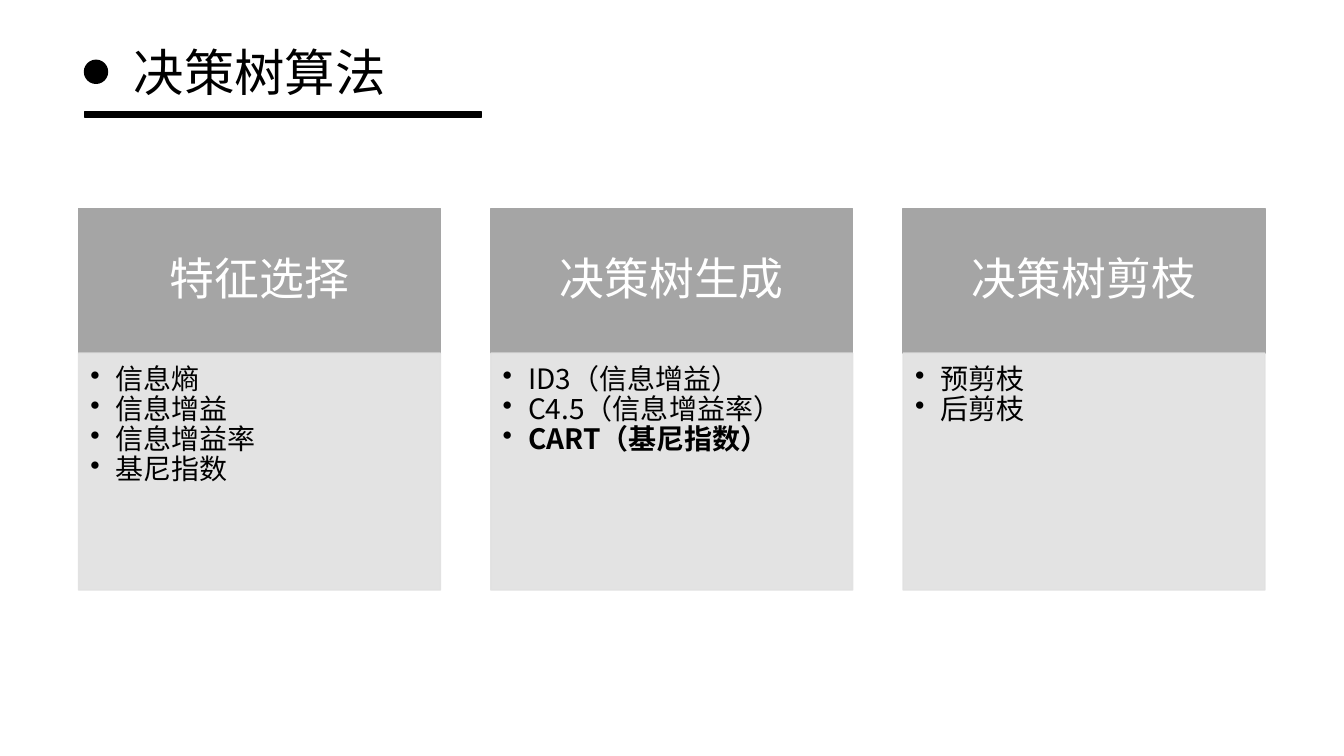
from lxml import etree
from pptx import Presentation
from pptx import util as u
from pptx.dml.color import RGBColor
from pptx.enum import shapes, text
from pptx.oxml.ns import qn

BLACK = RGBColor(0, 0, 0)
WHITE = RGBColor(255, 255, 255)
GRAY = RGBColor(0xA5, 0xA5, 0xA5)
PALE = RGBColor(0xE1, 0xE1, 0xE1)
RECT = shapes.MSO_SHAPE.RECTANGLE
OVAL = shapes.MSO_SHAPE.OVAL
MID = text.MSO_ANCHOR.MIDDLE
TOP = text.MSO_ANCHOR.TOP
LEFT = text.PP_ALIGN.LEFT
MIDDLE = text.PP_ALIGN.CENTER


class Deck:
    font = "Noto Sans CJK SC"

    def __init__(self):
        self.show = Presentation()
        self.show.slide_width = u.Cm(33.87)
        self.show.slide_height = u.Cm(19.05)
        self.slide = self.show.slides.add_slide(self.show.slide_layouts[5])

    def label(self, frame, lines, size, color, align, anchor, insets):
        frame.text = "\n".join(lines)
        frame.word_wrap = True
        frame.auto_size = text.MSO_AUTO_SIZE.NONE
        frame.vertical_anchor = anchor
        (frame.margin_left, frame.margin_top,
         frame.margin_right, frame.margin_bottom) = map(u.Cm, insets)
        for para in frame.paragraphs:
            para.alignment = align
            for run in para.runs:
                run.font.size = u.Pt(size)
                run.font.color.rgb = color
                run.font.name = self.font
                east = etree.SubElement(run.font._element, qn("a:ea"))
                east.set("typeface", self.font)

    def title(self, words, left, top, width, height):
        box = self.slide.shapes.title
        box.left, box.top, box.width, box.height = map(
            u.Cm, (left, top, width, height))
        self.label(box.text_frame, [words], 36, BLACK, LEFT, MID,
                   (0.25, 0.13, 0.25, 0.13))

    def shape(self, kind, left, top, width, height, color, alpha=100):
        item = self.slide.shapes.add_shape(
            kind, *map(u.Cm, (left, top, width, height)))
        item.shadow.inherit = False
        item.fill.solid()
        item.fill.fore_color.rgb = color
        item.line.color.rgb = color
        item.line.width = u.Pt(1)
        if alpha < 100:
            for tint in item._element.spPr.iter(qn("a:srgbClr")):
                etree.SubElement(tint, qn("a:alpha")).set(
                    "val", str(alpha * 1000))
        return item

    def head(self, words, *place):
        item = self.shape(RECT, *place, GRAY)
        self.label(item.text_frame, [words], 32, WHITE, MIDDLE, MID,
                   (0.64, 0.36, 0.64, 0.36))
        item.text_frame.paragraphs[0].line_spacing = 0.9

    def points(self, lines, strong, *place):
        item = self.shape(RECT, *place, PALE, 90)
        self.label(item.text_frame, lines, 20, BLACK, LEFT, TOP,
                   (0.3, 0.3, 0.41, 0.43))
        for para in item.text_frame.paragraphs:
            para.line_spacing = 0.9
            props = para._p.get_or_add_pPr()
            props.set("marL", str(u.Cm(0.64)))
            props.set("indent", str(-u.Cm(0.64)))
            etree.SubElement(props, qn("a:buChar")).set("char", "•")
            for run in para.runs:
                run.font.bold = para.text == strong


CARDS = [
    ("特征选择", ["信息熵", "信息增益", "信息增益率", "基尼指数"]),
    ("决策树生成", ["ID3（信息增益）", "C4.5（信息增益率）", "CART（基尼指数）"]),
    ("决策树剪枝", ["预剪枝", "后剪枝"]),
]
STRONG = "CART（基尼指数）"
START, STEP, WIDTH = 1.98, 10.39, 9.12

deck = Deck()
deck.shape(RECT, 2.13, 2.82, 10.01, 0.13, BLACK)
deck.shape(OVAL, 2.13, 1.52, 0.58, 0.58, BLACK)
deck.title("决策树算法", 3.12, 0.89, 12.4, 1.8)
for spot, (name, lines) in enumerate(CARDS):
    left = START + spot * STEP
    deck.head(name, left, 5.26, WIDTH, 3.65)
    deck.points(lines, STRONG, left, 8.9, WIDTH, 5.97)
deck.show.save("out.pptx")
